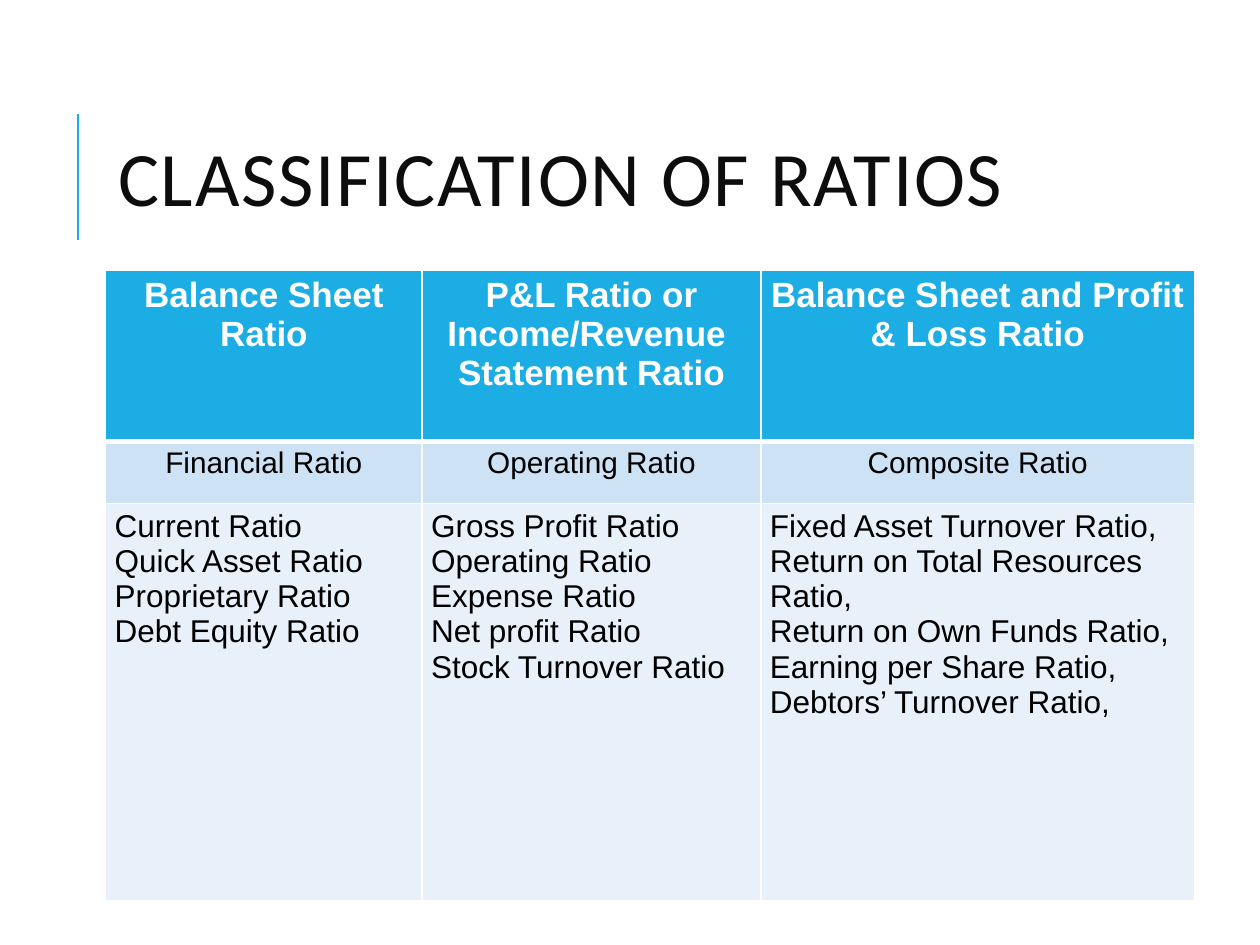
from lxml import etree
from pptx import Presentation
from pptx.dml.color import RGBColor
from pptx.enum.shapes import MSO_CONNECTOR
from pptx.enum.text import MSO_ANCHOR, MSO_AUTO_SIZE, PP_ALIGN
from pptx.oxml.ns import qn
from pptx.util import Cm, Pt

STRAIGHT = MSO_CONNECTOR.STRAIGHT
MIDDLE, TOP = MSO_ANCHOR.MIDDLE, MSO_ANCHOR.TOP
LEFT, CENTER = PP_ALIGN.LEFT, PP_ALIGN.CENTER
NO_AUTOFIT = MSO_AUTO_SIZE.NONE
ACCENT, WHITE = "1CADE4", "FFFFFF"


def write_text(frame, paragraphs, size, color="000000", bold=False, align=LEFT,
               font="Arial", line_spacing=1.0, tracking=0):
    for index, text in enumerate(paragraphs):
        paragraph = frame.paragraphs[0] if index == 0 else frame.add_paragraph()
        paragraph.alignment = align
        paragraph.line_spacing = line_spacing
        run = paragraph.add_run()
        run.text = text
        run.font.name = font
        run.font.size = Pt(size)
        run.font.bold = bold
        run.font.color.rgb = RGBColor.from_string(color)
        if tracking:
            run.font._element.set("spc", str(tracking * 100))


def set_borders(cell, widths, color):
    properties = cell._tc.get_or_add_tcPr()
    for index, (side, width) in enumerate(widths.items()):
        line = etree.Element(qn(f"a:ln{side}"), w=str(Pt(width)))
        fill = etree.SubElement(line, qn("a:solidFill"))
        etree.SubElement(fill, qn("a:srgbClr"), val=color)
        properties.insert(index, line)


presentation = Presentation()
presentation.slide_width = Cm(25.4)
presentation.slide_height = Cm(19.05)
slide = presentation.slides.add_slide(presentation.slide_layouts[5])

# Accent line beside the title
accent_line = slide.shapes.add_connector(STRAIGHT, Cm(1.57), Cm(4.83), Cm(1.57), Cm(2.29))
accent_line.line.color.rgb = RGBColor.from_string(ACCENT)
accent_line.line.width = Pt(1.5)
etree.SubElement(accent_line._element.spPr, qn("a:effectLst"))

# Title
title = slide.shapes.title
title.left, title.top, title.width, title.height = Cm(2.13), Cm(1.63), Cm(20.24), Cm(4.17)
title.text_frame.word_wrap = True
title.text_frame.auto_size = NO_AUTOFIT
title.text_frame.vertical_anchor = MIDDLE
write_text(title.text_frame, ["CLASSIFICATION OF RATIOS"], 44, color="0D0D0D",
           font="Calibri", line_spacing=0.8, tracking=1)

# Table content: one list of paragraphs per cell
rows = [
    [["Balance Sheet Ratio"],
     ["P&L Ratio or Income/Revenue  Statement Ratio"],
     ["Balance Sheet and Profit & Loss Ratio"]],
    [["Financial Ratio"], ["Operating Ratio"], ["Composite Ratio"]],
    [["Current Ratio", "Quick Asset Ratio", "Proprietary Ratio", "Debt Equity Ratio"],
     ["Gross Profit Ratio", "Operating Ratio", "Expense Ratio", "Net profit Ratio",
      "Stock Turnover Ratio"],
     ["Fixed Asset Turnover Ratio, Return on Total Resources Ratio, ",
      "Return on Own Funds Ratio,  Earning per Share Ratio, Debtors’ Turnover Ratio, "]],
]
column_widths = [6.38, 6.83, 8.74]
row_heights = [3.45, 1.25, 8.0]
row_fills = [ACCENT, "CDE3F5", "E8F1FA"]
row_formats = [
    dict(size=20, color=WHITE, bold=True, align=CENTER),
    dict(size=17, align=CENTER),
    dict(size=18),
]
rule_widths = [1, 3, 1, 1]  # horizontal rules, from top to bottom

# Table
table = slide.shapes.add_table(3, 3, Cm(2.13), Cm(5.45), Cm(sum(column_widths)),
                               Cm(sum(row_heights))).table
for column, width in zip(table.columns, column_widths):
    column.width = Cm(width)
for row_index, row in enumerate(rows):
    table.rows[row_index].height = Cm(row_heights[row_index])
    borders = dict(L=1, R=1, T=rule_widths[row_index], B=rule_widths[row_index + 1])
    for column_index, paragraphs in enumerate(row):
        cell = table.cell(row_index, column_index)
        cell.margin_left = cell.margin_right = Cm(0.18)
        cell.margin_top = cell.margin_bottom = Cm(0.1)
        cell.vertical_anchor = TOP
        cell.fill.solid()
        cell.fill.fore_color.rgb = RGBColor.from_string(row_fills[row_index])
        set_borders(cell, borders, WHITE)
        write_text(cell.text_frame, paragraphs, **row_formats[row_index])

presentation.save("out.pptx")
